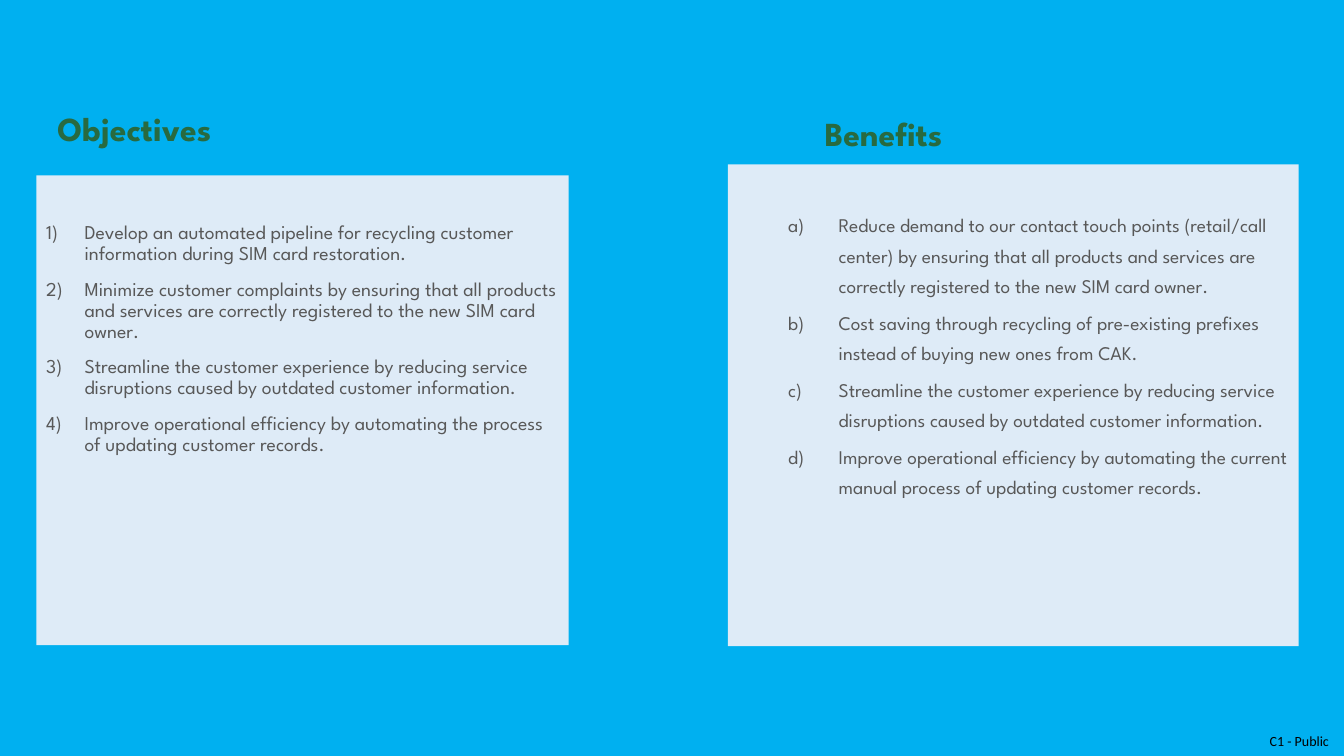
from lxml.etree import SubElement as Sub
from pptx import Presentation
from pptx.dml.color import RGBColor as Color
from pptx.enum.shapes import MSO_SHAPE as Kind
from pptx.enum.text import MSO_ANCHOR as Anchor, PP_ALIGN as Align
from pptx.oxml.ns import qn
from pptx.util import Inches, Pt

WIDE, HIGH = Inches(13.33), Inches(7.5)
HUES = {"sky": "00B0F0", "pale": "DEEBF7", "green": "286A40",
        "gray": "585858", "black": "000000"}
FACE = "League Spartan"

GOALS = [
    "Develop an automated pipeline for recycling customer information during SIM card restoration.",
    "Minimize customer complaints by ensuring that all products and services are correctly registered to the new SIM card owner.",
    "Streamline the customer experience by reducing service disruptions caused by outdated customer information.",
    "Improve operational efficiency by automating the process of updating customer records.",
]
GAINS = [
    "Reduce demand to our contact touch points (retail/call center) by ensuring that all products and services are correctly registered to the new SIM card owner.",
    "Cost saving through recycling of pre-existing prefixes instead of buying new ones from CAK.",
    "Streamline the customer experience by reducing service disruptions caused by outdated customer information.",
    "Improve operational efficiency by automating the current manual process of updating customer records.",
]


def hue(name):
    return Color.from_string(HUES[name])


def place(x, y, w, h):
    return (round(WIDE * x / 100), round(HIGH * y / 100),
            round(WIDE * w / 100), round(HIGH * h / 100))


def write(para, text, size, tint, face=FACE, bold=False, lead=0.9,
          gap=0, align=Align.LEFT):
    para.alignment = align
    para.line_spacing = lead
    para.space_before = Pt(gap)
    run = para.add_run()
    run.text = text
    run.font.name = face
    run.font.size = Pt(size)
    run.font.bold = bold
    run.font.color.rgb = hue(tint)


def number(para, style, left, hang):
    props = para._p.get_or_add_pPr()
    props.set("marL", str(Inches(left)))
    props.set("indent", str(-Inches(hang)))
    Sub(props, qn("a:buFont"), typeface="+mj-lt")
    Sub(props, qn("a:buAutoNum"), type=style)


def label(slide, area, text, pads=(0.1, 0.05, 0.1, 0.05), **form):
    frame = slide.shapes.add_textbox(*place(*area)).text_frame
    frame.word_wrap = True
    frame.vertical_anchor = Anchor.MIDDLE
    (frame.margin_left, frame.margin_top,
     frame.margin_right, frame.margin_bottom) = map(Inches, pads)
    write(frame.paragraphs[0], text, **form)


def panel(slide, area, items, style, left, hang, top, gap, level=0, **form):
    box = slide.shapes.add_shape(Kind.RECTANGLE, *place(*area))
    box.shadow.inherit = False
    box.fill.solid()
    box.fill.fore_color.rgb = hue("pale")
    box.line.fill.background()
    frame = box.text_frame
    frame.word_wrap = True
    frame.vertical_anchor = Anchor.TOP
    frame.margin_top = Inches(top)
    for i, item in enumerate(items):
        para = frame.add_paragraph() if i else frame.paragraphs[0]
        para.level = level
        number(para, style, left, hang)
        write(para, item, tint="gray", gap=gap if i else 0, **form)


def main():
    deck = Presentation()
    deck.slide_width, deck.slide_height = WIDE, HIGH
    slide = deck.slides.add_slide(deck.slide_layouts[6])
    slide.background.fill.solid()
    slide.background.fill.fore_color.rgb = hue("sky")

    label(slide, (93.32, 96.13, 6.68, 3.87), "C1 - Public",
          pads=(0, 0, 0.15, 0), size=10, tint="black", face="Calibri",
          lead=1, align=Align.RIGHT)
    head = dict(size=24, tint="green", bold=True)
    label(slide, (3.53, 14.67, 38.78, 5.33), "Objectives", **head)
    panel(slide, (2.7, 23.2, 39.61, 62.13), GOALS, "arabicParenR",
          left=0.38, hang=0.38, top=0.47, gap=10, size=14)
    label(slide, (60.62, 15.87, 32.41, 4.13), "Benefits", **head)
    panel(slide, (54.16, 21.73, 42.46, 63.73), GAINS, "alphaLcParenR",
          left=1, hang=0.5, top=0.42, gap=5, level=1, size=13.8, lead=1.3)
    deck.save("out.pptx")


if __name__ == "__main__":
    main()
